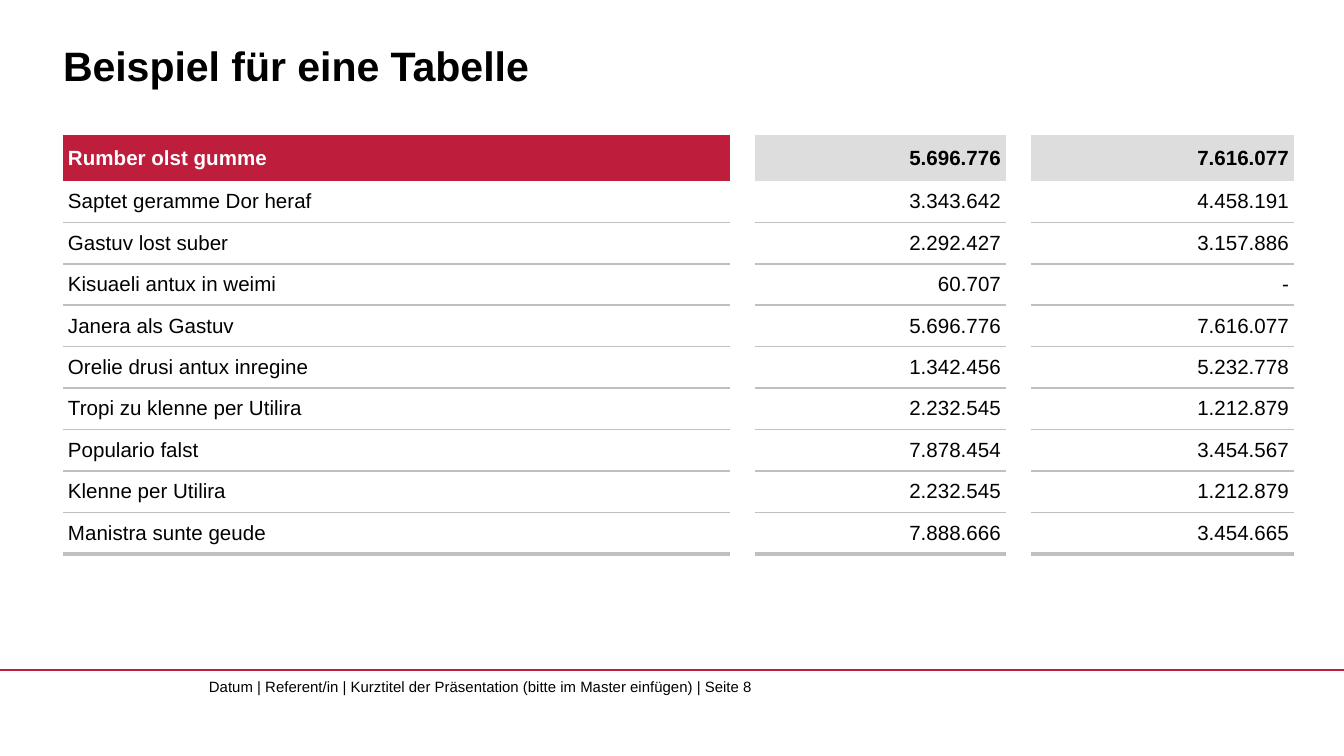
"""Build a slide with a table of figures in separated columns."""
from lxml.etree import SubElement
from pptx import Presentation
from pptx.dml.color import RGBColor
from pptx.enum.shapes import MSO_CONNECTOR
from pptx.enum.text import MSO_ANCHOR, PP_ALIGN
from pptx.oxml import parse_xml
from pptx.oxml.ns import nsdecls, qn
from pptx.util import Pt

TITLE = "Beispiel für eine Tabelle"
FOOTER = "Datum | Referent/in | Kurztitel der Präsentation (bitte im Master einfügen) | Seite 8"
ROWS = [
    ("Rumber olst gumme", "5.696.776", "7.616.077"),
    ("Saptet geramme Dor heraf", "3.343.642", "4.458.191"),
    ("Gastuv lost suber", "2.292.427", "3.157.886"),
    ("Kisuaeli antux in weimi", "60.707", "-"),
    ("Janera als Gastuv", "5.696.776", "7.616.077"),
    ("Orelie drusi antux inregine", "1.342.456", "5.232.778"),
    ("Tropi zu klenne per Utilira", "2.232.545", "1.212.879"),
    ("Populario falst", "7.878.454", "3.454.567"),
    ("Klenne per Utilira", "2.232.545", "1.212.879"),
    ("Manistra sunte geude", "7.888.666", "3.454.665"),
]
RED, GREY, RULE, BLACK, WHITE = "BE1E3C", "DDDDDD", "C0C0C0", "000000", "FFFFFF"
GAP = 25
COLUMNS = [667, GAP, 251, GAP, 263]
LEFT, TABLE_TOP, TABLE_HEIGHT, HEADER_HEIGHT = 63, 135, 419, 46
NO_GRID_STYLE = "{2D5ABB26-0587-4C30-8999-92F81FD0307C}"


def px(length):
    return round(length * 914400 / 134.4)


def color(hex_string):
    return RGBColor.from_string(hex_string)


def style(paragraph, size, ink=BLACK, bold=False, align=PP_ALIGN.LEFT):
    paragraph.alignment = align
    font = paragraph.font
    font.name, font.size, font.bold = "Arial", Pt(size), bold
    font.color.rgb = color(ink)


def fill_frame(shape, text, anchor, size, bold=False):
    frame = shape.text_frame
    frame.margin_left = frame.margin_right = frame.margin_top = frame.margin_bottom = 0
    frame.word_wrap = True
    frame.vertical_anchor = anchor
    frame.text = text
    style(frame.paragraphs[0], size, bold=bold)


def underline(cell, width):
    border = parse_xml(
        f'<a:lnB {nsdecls("a")} w="{Pt(width)}"><a:solidFill>'
        f'<a:srgbClr val="{RULE}"/></a:solidFill></a:lnB>'
    )
    cell._tc.get_or_add_tcPr().insert(0, border)


def add_figures(slide):
    frame = slide.shapes.add_table(
        len(ROWS), len(COLUMNS), px(LEFT), px(TABLE_TOP), px(sum(COLUMNS)), px(TABLE_HEIGHT)
    )
    table = frame.table
    table.first_row = table.horz_banding = False
    table._tbl.tblPr.find(qn("a:tableStyleId")).text = NO_GRID_STYLE
    for column, width in zip(table.columns, COLUMNS):
        column.width = px(width)
    body_height = (TABLE_HEIGHT - HEADER_HEIGHT) / (len(ROWS) - 1)
    for r, values in enumerate(ROWS):
        header, last = r == 0, r == len(ROWS) - 1
        table.rows[r].height = px(HEADER_HEIGHT if header else body_height)
        for c in range(len(COLUMNS)):
            cell = table.cell(r, c)
            label, gap = c == 0, c % 2 == 1
            cell.vertical_anchor = MSO_ANCHOR.MIDDLE
            cell.margin_left = px(5 if header or label else 0)
            cell.margin_right = px(5)
            cell.margin_top = cell.margin_bottom = px(4)
            if not gap:
                cell.text = values[c // 2]
            style(
                cell.text_frame.paragraphs[0], 11,
                WHITE if header and label else BLACK, header,
                PP_ALIGN.LEFT if label else PP_ALIGN.RIGHT,
            )
            if header and not gap:
                cell.fill.solid()
                cell.fill.fore_color.rgb = color(RED if label else GREY)
            else:
                cell.fill.background()
                if not gap:
                    underline(cell, 2.25 if last else 1)


def add_footer(slide):
    rule = slide.shapes.add_connector(MSO_CONNECTOR.STRAIGHT, 0, px(670), px(1344), px(670))
    rule.line.color.rgb = color(RED)
    rule.line.width = Pt(0.75)
    SubElement(rule._element.spPr, qn("a:effectLst"))
    footer = slide.shapes.add_textbox(px(209), px(678), px(654), px(36))
    fill_frame(footer, FOOTER, MSO_ANCHOR.TOP, 8)


def main():
    deck = Presentation()
    deck.slide_width, deck.slide_height = px(1344), px(756)
    slide = deck.slides.add_slide(deck.slide_layouts[5])
    add_footer(slide)
    title = slide.shapes.title
    title.left, title.top, title.width, title.height = px(LEFT), px(12), px(1231), px(78)
    fill_frame(title, TITLE, MSO_ANCHOR.BOTTOM, 22, bold=True)
    add_figures(slide)
    deck.save("out.pptx")


if __name__ == "__main__":
    main()
